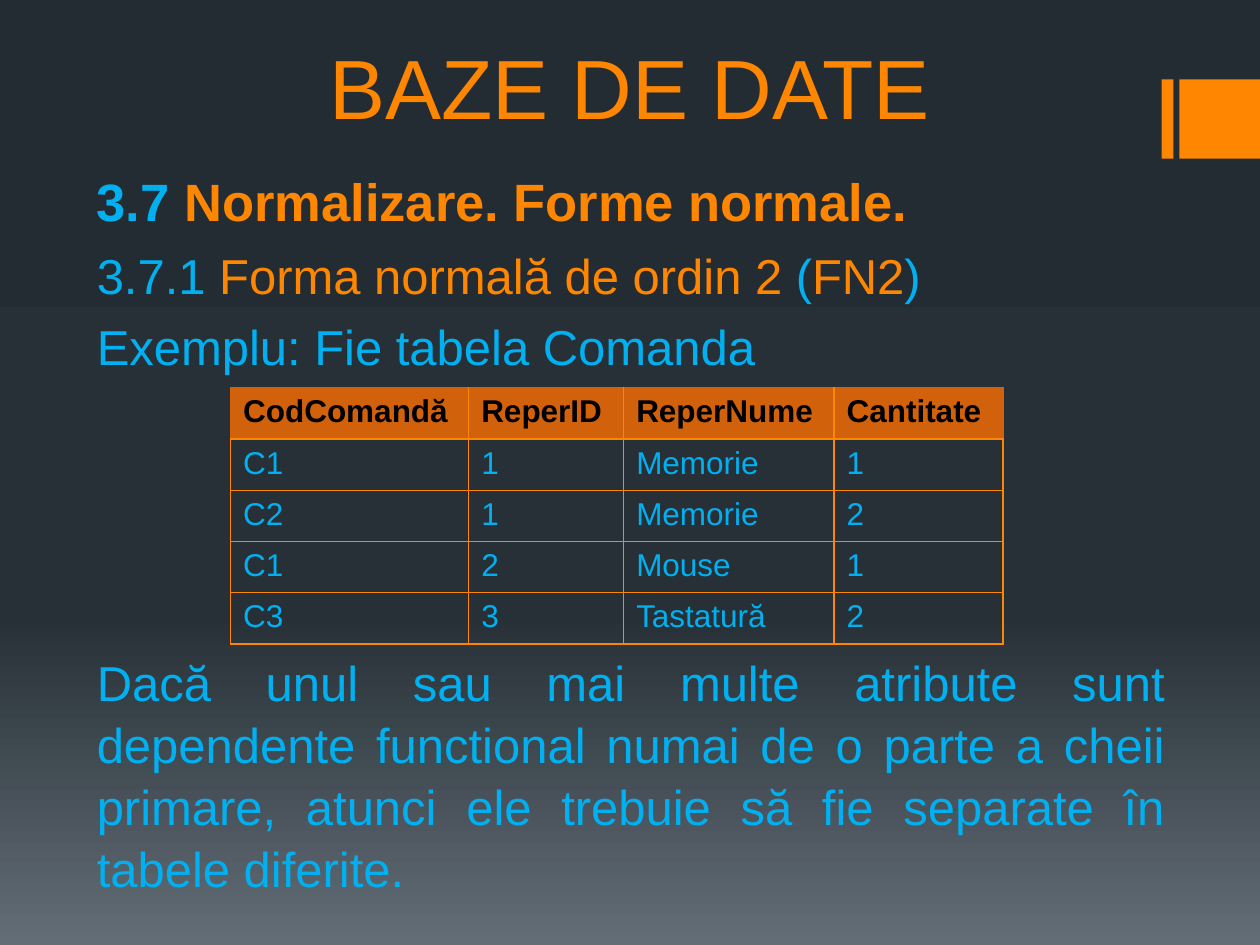
import copy

import pptx
import pptx.dml.color
import pptx.enum.shapes
import pptx.enum.text
import pptx.oxml
import pptx.oxml.ns
import pptx.util

RGB = pptx.dml.color.RGBColor
ORANGE = RGB(0xFF, 0x86, 0x00)
RUST = RGB(0xD2, 0x61, 0x0C)
BLUE = RGB(0x00, 0xB0, 0xF0)
BLACK = RGB(0x00, 0x00, 0x00)
BACK = [(0, RGB(0x24, 0x2C, 0x33)), (0.65, RGB(0x27, 0x30, 0x37)),
        (1, RGB(0x63, 0x6D, 0x76))]
FONT = "Arial"
WIDE, HIGH = 10, 7.5
ALIGN = pptx.enum.text.PP_ALIGN
ANCHOR = pptx.enum.text.MSO_ANCHOR
inch = pptx.util.Inches

HEAD = [
    (ALIGN.LEFT, 30, True,
     [("3.7 ", BLUE), ("Normalizare. Forme normale.", ORANGE)]),
    (ALIGN.JUSTIFY, 28, False,
     [("3.7.1 ", BLUE), ("Forma normală de ordin 2 ", ORANGE),
      ("(", BLUE), ("FN2", ORANGE), (")", BLUE)]),
    (ALIGN.JUSTIFY, 28, False, [("Exemplu: Fie tabela Comanda", BLUE)]),
]
RULE = [
    (ALIGN.JUSTIFY, 28, False,
     [("Dacă unul sau mai multe atribute sunt dependente functional numai "
       "de o parte a cheii primare, atunci ele trebuie să fie separate în "
       "tabele diferite.", BLUE)]),
]
ROWS = [
    ("CodComandă", "ReperID", "ReperNume", "Cantitate"),
    ("C1", "1", "Memorie", "1"),
    ("C2", "1", "Memorie", "2"),
    ("C1", "2", "Mouse", "1"),
    ("C3", "3", "Tastatură", "2"),
]
COLS = (1.89, 1.23, 1.67, 1.34)


def paint_back(slide):
    fill = slide.background.fill
    fill.gradient()
    fill.gradient_angle = 270
    last = fill.gradient_stops[-1]._gs
    last.addnext(copy.deepcopy(last))
    for stop, (place, color) in zip(fill.gradient_stops, BACK):
        stop.position = place
        stop.color.rgb = color


def add_run(para, text, size, color, bold=False):
    run = para.add_run()
    run.text = text
    run.font.name = FONT
    run.font.size = pptx.util.Pt(size)
    run.font.bold = bold
    run.font.color.rgb = color


def add_mark(slide, left, top, width, height):
    """Thin bar and block that run to the right edge of the slide."""
    bar, gap = 0.12 * width, 0.18 * width
    for start, span in ((0, bar), (gap, width - gap)):
        part = slide.shapes.add_shape(
            pptx.enum.shapes.MSO_SHAPE.RECTANGLE,
            inch(left + start), inch(top), inch(span), inch(height))
        part.shadow.inherit = False
        part.fill.solid()
        part.fill.fore_color.rgb = ORANGE
        part.line.fill.background()


def add_text(slide, box, paras, anchor=ANCHOR.TOP, pitch=1.05):
    frame = slide.shapes.add_textbox(*map(inch, box)).text_frame
    frame.word_wrap = True
    frame.vertical_anchor = anchor
    for i, (align, size, bold, runs) in enumerate(paras):
        para = frame.add_paragraph() if i else frame.paragraphs[0]
        para.alignment = align
        para.line_spacing = pitch
        para.space_before = pptx.util.Pt(0.2 * size if i else 0)
        for text, color in runs:
            add_run(para, text, size, color, bold)


def edge_cell(cell, edges):
    props = cell._tc.get_or_add_tcPr()
    space = pptx.oxml.ns.nsdecls("a")
    for i, (side, color) in enumerate(edges):
        props.insert(i, pptx.oxml.parse_xml(
            f'<a:ln{side} {space} w="12700"><a:solidFill>'
            f'<a:srgbClr val="{color}"/></a:solidFill></a:ln{side}>'))


def add_grid(slide, left, top, width, height):
    count = len(COLS)
    grid = slide.shapes.add_table(
        len(ROWS), count, inch(left), inch(top), inch(width),
        inch(height)).table
    for col, share in zip(grid.columns, COLS):
        col.width = inch(width * share / sum(COLS))
    for r, row in enumerate(ROWS):
        for c, text in enumerate(row):
            cell, head = grid.cell(r, c), r == 0
            if head:
                cell.fill.solid()
                cell.fill.fore_color.rgb = RUST
            else:
                cell.fill.background()
            add_run(cell.text_frame.paragraphs[0], text, 18,
                    BLACK if head else BLUE, head)
            edge_cell(cell, [
                ("L", RUST if head and c == 0 else ORANGE),
                ("R", RUST if head and c == count - 1 else ORANGE),
                ("T", RUST if head else ORANGE),
                ("B", ORANGE)])


def main():
    deck = pptx.Presentation()
    deck.slide_width, deck.slide_height = inch(WIDE), inch(HIGH)
    slide = deck.slides.add_slide(deck.slide_layouts[6])
    paint_back(slide)
    add_mark(slide, 9.22, 0.63, WIDE - 9.22, 0.63)
    add_text(slide, (0.75, 0, 8.5, 1.13),
             [(ALIGN.CENTER, 48, False, [("BAZE DE DATE", ORANGE)])],
             ANCHOR.BOTTOM, 1)
    add_text(slide, (0.67, 1.27, 8.67, 1.75), HEAD)
    add_grid(slide, 1.83, 3.08, sum(COLS), 2.03)
    add_text(slide, (0.67, 5.11, 8.67, 1.97), RULE)
    deck.save("out.pptx")


if __name__ == "__main__":
    main()
